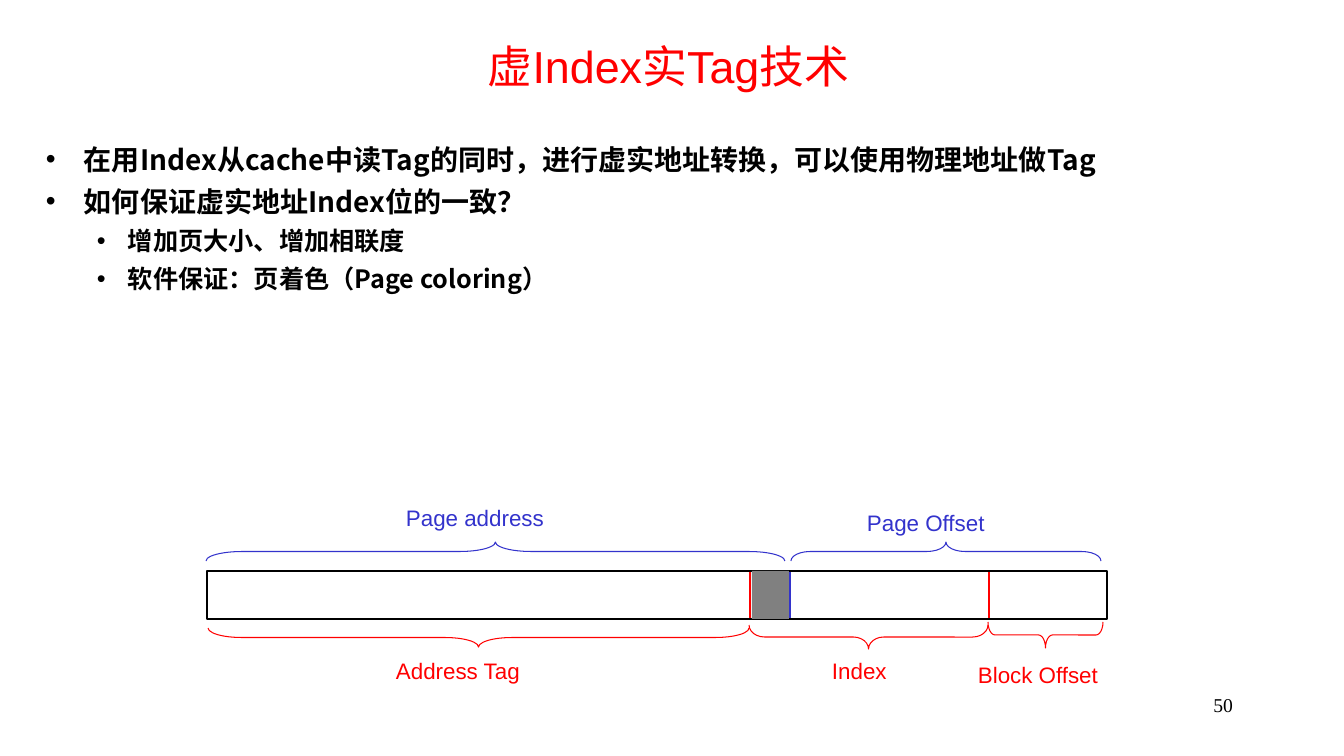
from lxml.etree import SubElement
from pptx import Presentation
from pptx.dml.color import RGBColor
from pptx.enum.shapes import MSO_CONNECTOR, MSO_SHAPE
from pptx.enum.text import MSO_ANCHOR, PP_ALIGN
from pptx.oxml.ns import qn
from pptx.util import Pt

EMU_PER_PX = 914400 / 100.8
COLORS = {"black": "000000", "red": "FF0000", "blue": "3333CC", "gray": "808080"}
CJK_FONT = "Noto Sans CJK SC"


def px(length):
    return round(length * EMU_PER_PX)


def color(name):
    return RGBColor.from_string(COLORS[name])


class SlideBuilder:
    """Draws styled elements on one slide, with lengths in px."""

    def __init__(self, slide):
        self.shapes = slide.shapes

    def textbox(self, left, top, width, height, inset=(10, 5), wrap=True, anchor=MSO_ANCHOR.TOP):
        box = self.shapes.add_textbox(px(left), px(top), px(width), px(height))
        frame = box.text_frame
        frame.word_wrap = wrap
        frame.vertical_anchor = anchor
        frame.margin_left = frame.margin_right = px(inset[0])
        frame.margin_top = frame.margin_bottom = px(inset[1])
        return frame

    def span(self, para, text, size, color_name="black", font="Arial", bold=False):
        span = para.add_run()
        span.text = text
        span.font.size = Pt(size)
        span.font.name = font
        span.font.bold = bold
        span.font.color.rgb = color(color_name)
        SubElement(span._r.get_or_add_rPr(), qn("a:ea"), typeface=CJK_FONT)

    def line_of_text(self, text, place, size, color_name, align=PP_ALIGN.LEFT, font="Arial", **frame_style):
        para = self.textbox(*place, **frame_style).paragraphs[0]
        para.alignment = align
        self.span(para, text, size, color_name, font)

    def bullets(self, place, items):
        frame = self.textbox(*place)
        for number, (level, text) in enumerate(items):
            para = frame.add_paragraph() if number else frame.paragraphs[0]
            indent, hanging, size = ((38, 38, 20), (82, 31, 18))[level]
            para.level = level
            para.line_spacing = 1.25
            properties = para._p.get_or_add_pPr()
            properties.set("marL", str(px(indent)))
            properties.set("indent", str(-px(hanging)))
            SubElement(properties, qn("a:buFont"), typeface="Arial")
            SubElement(properties, qn("a:buChar"), char="•")
            self.span(para, text, size, font=CJK_FONT, bold=True)

    def shape(self, kind, place, fill=None, line=None, weight=1.5):
        shape = self.shapes.add_shape(kind, *map(px, place))
        shape.shadow.inherit = False
        if fill:
            shape.fill.solid()
            shape.fill.fore_color.rgb = color(fill)
        else:
            shape.fill.background()
        if line:
            shape.line.color.rgb = color(line)
            shape.line.width = Pt(weight)
        else:
            shape.line.fill.background()
        return shape

    def brace(self, left, right, top, depth, curve, color_name, rotation):
        length = right - left
        place = ((left + right - depth) / 2, top + (depth - length) / 2, depth, length)
        brace = self.shape(MSO_SHAPE.RIGHT_BRACE, place, line=color_name, weight=0.75)
        brace.rotation = rotation
        brace.adjustments[0] = curve
        brace.adjustments[1] = 0.5

    def divider(self, x, top, bottom, color_name):
        divider = self.shapes.add_connector(MSO_CONNECTOR.STRAIGHT, px(x), px(top), px(x), px(bottom))
        divider.line.color.rgb = color(color_name)
        divider.line.width = Pt(1)
        SubElement(divider._element.spPr, qn("a:effectLst"))


def main():
    deck = Presentation()
    deck.slide_width, deck.slide_height = px(1344), px(756)
    page = SlideBuilder(deck.slides.add_slide(deck.slide_layouts[6]))

    page.line_of_text("50", (963, 688, 280, 50), 14, "black", PP_ALIGN.RIGHT, "Times New Roman")
    page.line_of_text("虚Index实Tag技术", (36, 21, 1265, 89), 32, "red", PP_ALIGN.CENTER,
                      anchor=MSO_ANCHOR.MIDDLE)
    page.bullets((36, 129, 1263, 308), [
        (0, "在用Index从cache中读Tag的同时，进行虚实地址转换，可以使用物理地址做Tag"),
        (0, "如何保证虚实地址Index位的一致？"),
        (1, "增加页大小、增加相联度"),
        (1, "软件保证：页着色（Page coloring）"),
    ])

    for text, left, top, width, color_name in [
        ("Page address", 404, 503, 143, "blue"),
        ("Page Offset", 865, 508, 123, "blue"),
        ("Address Tag", 394, 656, 129, "red"),
        ("Index", 830, 656, 59, "red"),
        ("Block Offset", 976, 660, 170, "red"),
    ]:
        page.line_of_text(text, (left, top, width, 28), 16, color_name, inset=(2, 1), wrap=False)

    bar_top, bar_height = 571, 48
    page.shape(MSO_SHAPE.RECTANGLE, (207, bar_top, 900, bar_height), line="black")
    for x, color_name in [(790, "blue"), (989, "red"), (750, "red")]:
        page.divider(x, bar_top + 1, bar_top + bar_height - 1, color_name)

    for left, right, top, depth, curve, color_name, rotation in [
        (206, 785, 542, 19, 1.89, "blue", 270),
        (791, 1101, 542, 19, 1.01, "blue", 270),
        (208, 749, 628, 19, 1.77, "red", 90),
        (749, 988, 625, 24, 0.64, "red", 90),
        (988, 1103, 622, 26, 0.27, "red", 90),
    ]:
        page.brace(left, right, top, depth, curve, color_name, rotation)

    page.shape(MSO_SHAPE.RECTANGLE, (752, bar_top, 37, bar_height), fill="gray")
    deck.save("out.pptx")


if __name__ == "__main__":
    main()
